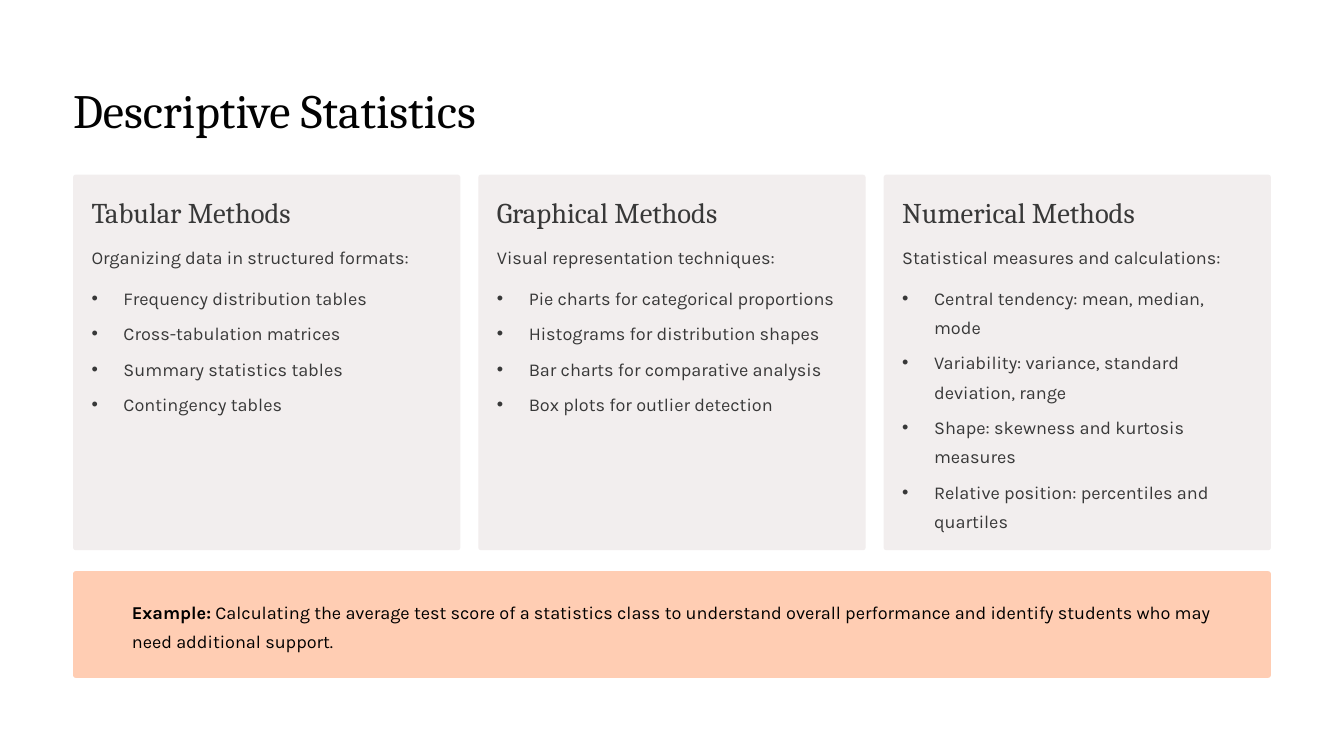
"""Build the Descriptive Statistics slide with three method cards and an example."""
from lxml import etree
from pptx import Presentation
from pptx.dml.color import RGBColor
from pptx.enum.shapes import MSO_SHAPE
from pptx.enum.text import MSO_ANCHOR, MSO_AUTO_SIZE, PP_ALIGN
from pptx.oxml.ns import qn
from pptx.util import Inches, Pt

ROUNDED = MSO_SHAPE.ROUNDED_RECTANGLE
TOP = MSO_ANCHOR.TOP
NO_FIT = MSO_AUTO_SIZE.NONE
LEFT = PP_ALIGN.LEFT

COLORS = {"page": "FFFFFF", "title": "020202", "text": "383838",
          "card": "F2EEEE", "callout": "FFCDB3", "example": "000000"}
SERIF, SANS = "Cambria", "Karla"
COLUMNS, ROWS = 16, 9
COMPARISON_LAYOUT = 4
MARGIN, CARD_WIDTH, CARD_STEP, PADDING = 0.87, 4.61, 4.825, 0.22

CARDS = [
    ("Tabular Methods", "Organizing data in structured formats:",
     ["Frequency distribution tables", "Cross-tabulation matrices",
      "Summary statistics tables", "Contingency tables"]),
    ("Graphical Methods", "Visual representation techniques:",
     ["Pie charts for categorical proportions",
      "Histograms for distribution shapes",
      "Bar charts for comparative analysis",
      "Box plots for outlier detection"]),
    ("Numerical Methods", "Statistical measures and calculations:",
     ["Central tendency: mean, median, mode",
      "Variability: variance, standard deviation, range",
      "Shape: skewness and kurtosis measures",
      "Relative position: percentiles and quartiles"]),
]
EXAMPLE = ("Example:", " Calculating the average test score of a statistics class "
           "to understand overall performance and identify students who may "
           "need additional support.")


class SlideBuilder:
    """Hold the slide, its grid and its text styles."""

    def __init__(self, deck):
        """Add a page and measure its grid."""
        self.column = deck.slide_width / COLUMNS
        self.row = deck.slide_height / ROWS
        self.page = deck.slides.add_slide(deck.slide_layouts[COMPARISON_LAYOUT])
        self.bodies = [box for box in self.page.placeholders
                       if box.placeholder_format.idx > 0]
        fill = self.page.background.fill
        fill.solid()
        fill.fore_color.rgb = RGBColor.from_string(COLORS["page"])

    def area(self, left, top, width, height):
        """Turn grid columns and rows into slide lengths."""
        return (round(left * self.column), round(top * self.row),
                round(width * self.column), round(height * self.row))

    def panel(self, area, color, rounding):
        """Draw a rounded panel behind the text."""
        panel = self.page.shapes.add_shape(ROUNDED, *self.area(*area))
        panel.adjustments[0] = rounding
        panel.shadow.inherit = False
        panel.fill.solid()
        panel.fill.fore_color.rgb = RGBColor.from_string(COLORS[color])
        panel.line.fill.background()
        self.page.shapes._spTree.insert(2, panel._element)

    def place(self, box, area):
        """Move a text box and clear its insets."""
        box.left, box.top, box.width, box.height = self.area(*area)
        frame = box.text_frame
        frame.margin_left = frame.margin_right = 0
        frame.margin_top = frame.margin_bottom = 0
        frame.word_wrap = True
        frame.auto_size = NO_FIT
        frame.vertical_anchor = TOP
        return frame

    def style(self, para, size, leading, font, color, before=0, bullet=False):
        """Format a paragraph and its runs."""
        properties = para._p.get_or_add_pPr()
        indent = Inches(0.38) if bullet else 0
        properties.set("marL", str(indent))
        properties.set("indent", str(-indent))
        if bullet:
            etree.SubElement(properties, qn("a:buChar")).set("char", "•")
        else:
            etree.SubElement(properties, qn("a:buNone"))
        para.alignment = LEFT
        para.line_spacing = Pt(leading)
        para.space_before = Pt(before)
        para.space_after = Pt(0)
        for span in para.runs:
            span.font.name = font
            span.font.size = Pt(size)
            span.font.bold = False
            span.font.color.rgb = RGBColor.from_string(COLORS[color])

    def body_style(self, para, color="text", before=0, bullet=False):
        """Apply the running text style."""
        self.style(para, 15.5, 25, SANS, color, before, bullet)

    def title(self, text, area):
        """Fill the title placeholder."""
        frame = self.place(self.page.shapes.title, area)
        frame.text = text
        self.style(frame.paragraphs[0], 41, 51, SERIF, "title")

    def heading(self, text, area):
        """Add a card heading."""
        frame = self.place(self.page.shapes.add_textbox(0, 0, 0, 0), area)
        frame.text = text
        self.style(frame.paragraphs[0], 24.5, 30.5, SERIF, "text")

    def bullets(self, body, intro, items, area):
        """Fill a body placeholder with an introduction and a list."""
        frame = self.place(body, area)
        frame.text = "\n".join([intro, *items])
        for index, para in enumerate(frame.paragraphs):
            before = (0, 9.5)[index] if index < 2 else 5.5
            self.body_style(para, before=before, bullet=index > 0)

    def card(self, index, heading, intro, items):
        """Build one method card."""
        left = MARGIN + index * CARD_STEP
        inner, width = left + PADDING, CARD_WIDTH - 2 * PADDING
        self.panel((left, 2.08, CARD_WIDTH, 4.47), "card", 0.007)
        self.heading(heading, (inner, 2.3, width, 0.43))
        self.bullets(self.bodies[index], intro, items, (inner, 2.85, width, 3.48))

    def example(self, label, text):
        """Build the example callout."""
        self.panel((MARGIN, 6.8, COLUMNS - 2 * MARGIN, 1.27), "callout", 0.026)
        frame = self.place(self.bodies[-1], (1.57, 7.07, 13.34, 0.69))
        para = frame.paragraphs[0]
        for part in (label, text):
            para.add_run().text = part
        self.body_style(para, "example")
        para.runs[0].font.bold = True


def main():
    """Create and save the deck."""
    deck = Presentation()
    deck.slide_width, deck.slide_height = Inches(16), Inches(9)
    builder = SlideBuilder(deck)
    builder.title("Descriptive Statistics", (MARGIN, 0.93, COLUMNS - 2 * MARGIN, 0.71))
    for index, card in enumerate(CARDS):
        builder.card(index, *card)
    builder.example(*EXAMPLE)
    deck.save("out.pptx")


if __name__ == "__main__":
    main()
